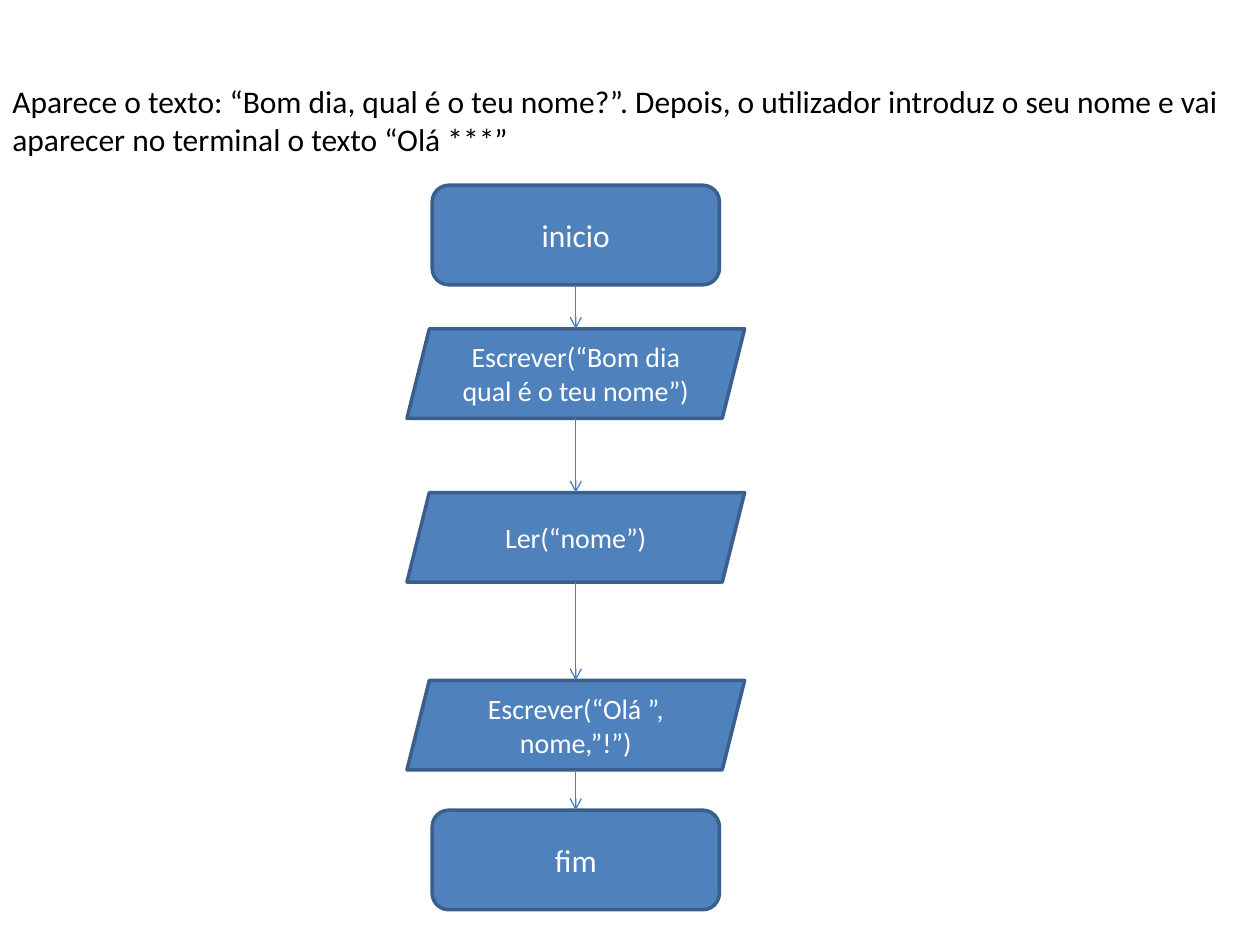
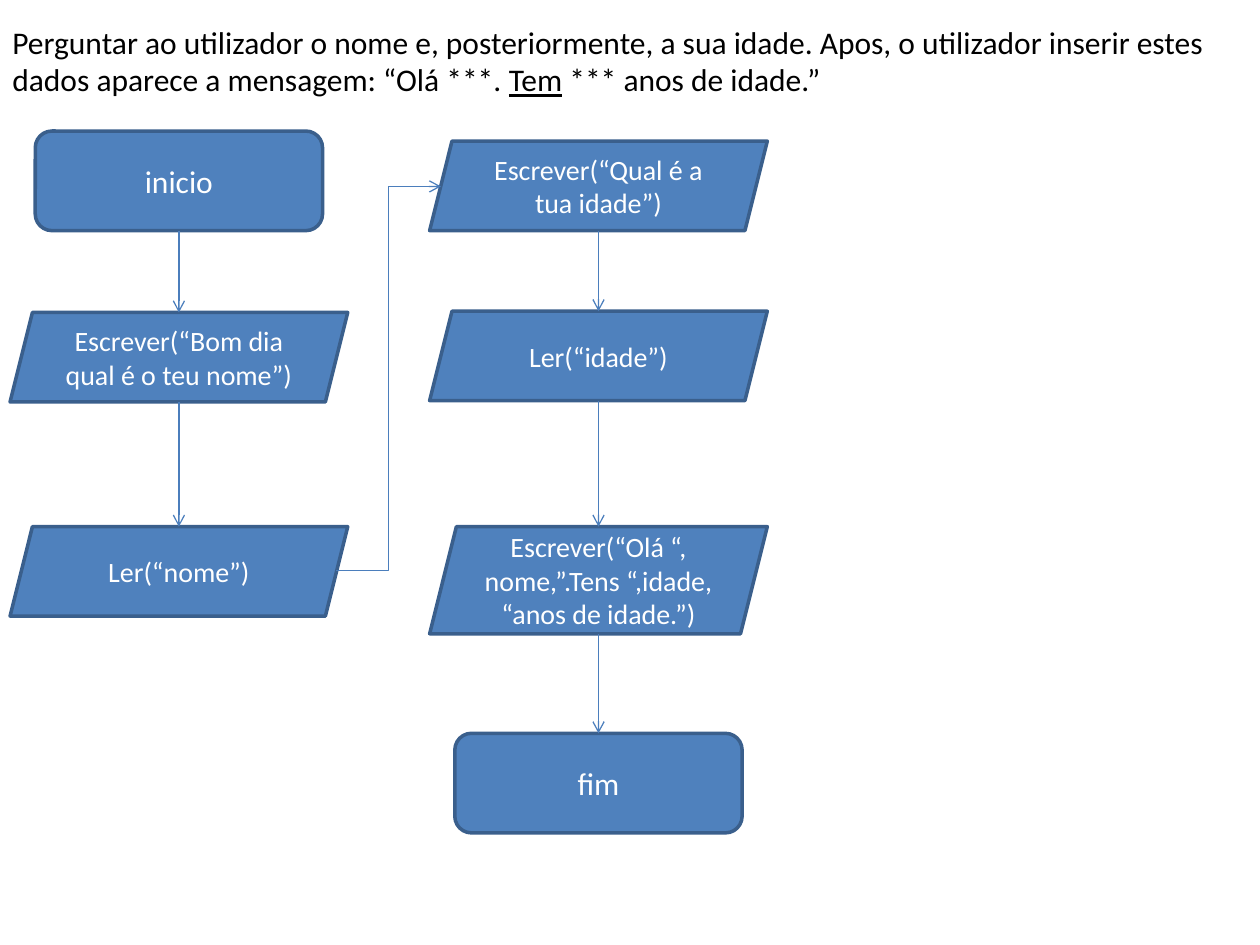
from lxml import etree
from pptx import Presentation
from pptx.dml.color import RGBColor
from pptx.enum.shapes import MSO_CONNECTOR, MSO_SHAPE
from pptx.enum.text import MSO_ANCHOR, PP_ALIGN
from pptx.oxml.ns import qn
from pptx.util import Inches, Pt

FONT = "Calibri"
BLACK, WHITE = "000000", "FFFFFF"
STEP_FILL, STEP_BORDER, ARROW = "4F81BD", "3A5F8C", "4B7EBC"

# Step kind: preset shape, width, text size
TERMINAL = (MSO_SHAPE.ROUNDED_RECTANGLE, 2.28, 18)
IN_OUT = (MSO_SHAPE.PARALLELOGRAM, 2.68, 16)

# Each column of a flowchart: centre x, then steps as (kind, top, height, text)
exercises = [
    {
        "prompt_top": 0.6,
        "prompt": [("Aparece o texto: “Bom dia, qual é o teu nome?”. Depois, o utilizador "
                    "introduz o seu nome e vai aparecer no terminal o texto “Olá ***”", False)],
        "columns": [
            (4.57, [
                (TERMINAL, 1.47, 0.79, "inicio"),
                (IN_OUT, 2.61, 0.71, "Escrever(“Bom dia qual é o teu nome”)"),
                (IN_OUT, 3.91, 0.71, "Ler(“nome”)"),
                (IN_OUT, 5.4, 0.71, "Escrever(“Olá ”, nome,”!”)"),
                (TERMINAL, 6.43, 0.79, "fim"),
            ]),
        ],
        "jumps": [],
    },
    {
        "prompt_top": 0.13,
        "prompt": [("Perguntar ao utilizador o nome e, posteriormente, a sua idade. Apos, o "
                    "utilizador inserir estes dados aparece a mensagem: “Olá ***. ", False),
                   ("Tem", True),
                   (" *** anos de idade.”", False)],
        "columns": [
            (1.42, [
                (TERMINAL, 1.04, 0.79, "inicio"),
                (IN_OUT, 2.48, 0.71, "Escrever(“Bom dia qual é o teu nome”)"),
                (IN_OUT, 4.18, 0.71, "Ler(“nome”)"),
            ]),
            (4.75, [
                (IN_OUT, 1.12, 0.71, "Escrever(“Qual é a tua idade”)"),
                (IN_OUT, 2.47, 0.71, "Ler(“idade”)"),
                (IN_OUT, 4.18, 0.85, "Escrever(“Olá “, nome,”.Tens “,idade, “anos de idade.”)"),
                (TERMINAL, 5.82, 0.79, "fim"),
            ]),
        ],
        "jumps": [((2.67, 4.53), (3.5, 1.48))],
    },
]


def color(hex_code):
    return RGBColor.from_string(hex_code)


def add_arrow(slide, kind, start, end):
    arrow = slide.shapes.add_connector(kind, *[Inches(v) for v in (*start, *end)])
    arrow.line.color.rgb = color(ARROW)
    arrow.line.width = Pt(0.75)
    etree.SubElement(arrow.line._get_or_add_ln(), qn("a:tailEnd"), type="arrow")
    etree.SubElement(arrow._element.spPr, qn("a:effectLst"))


prs = Presentation()
prs.slide_width, prs.slide_height = Inches(10), Inches(7.5)

for exercise in exercises:
    slide = prs.slides.add_slide(prs.slide_layouts[6])

    prompt = slide.shapes.add_textbox(
        Inches(0), Inches(exercise["prompt_top"]), Inches(10), Inches(0.71))
    prompt.text_frame.word_wrap = True
    for text, underlined in exercise["prompt"]:
        run = prompt.text_frame.paragraphs[0].add_run()
        run.text = text
        run.font.name, run.font.size = FONT, Pt(18)
        run.font.color.rgb = color(BLACK)
        run.font.underline = underlined

    for center, steps in exercise["columns"]:
        for (outline, width, text_size), top, height, text in steps:
            step = slide.shapes.add_shape(
                outline, Inches(center - width / 2), Inches(top), Inches(width), Inches(height))
            step.shadow.inherit = False
            step.fill.solid()
            step.fill.fore_color.rgb = color(STEP_FILL)
            step.line.color.rgb = color(STEP_BORDER)
            step.line.width = Pt(2)
            step.text_frame.text = text
            step.text_frame.word_wrap = True
            step.text_frame.vertical_anchor = MSO_ANCHOR.MIDDLE
            paragraph = step.text_frame.paragraphs[0]
            paragraph.alignment = PP_ALIGN.CENTER
            font = paragraph.runs[0].font
            font.name, font.size = FONT, Pt(text_size)
            font.color.rgb = color(WHITE)

        for (_, top, height, _), (_, next_top, _, _) in zip(steps, steps[1:]):
            add_arrow(slide, MSO_CONNECTOR.STRAIGHT, (center, top + height), (center, next_top))

    for start, end in exercise["jumps"]:
        add_arrow(slide, MSO_CONNECTOR.ELBOW, start, end)

prs.save("out.pptx")
